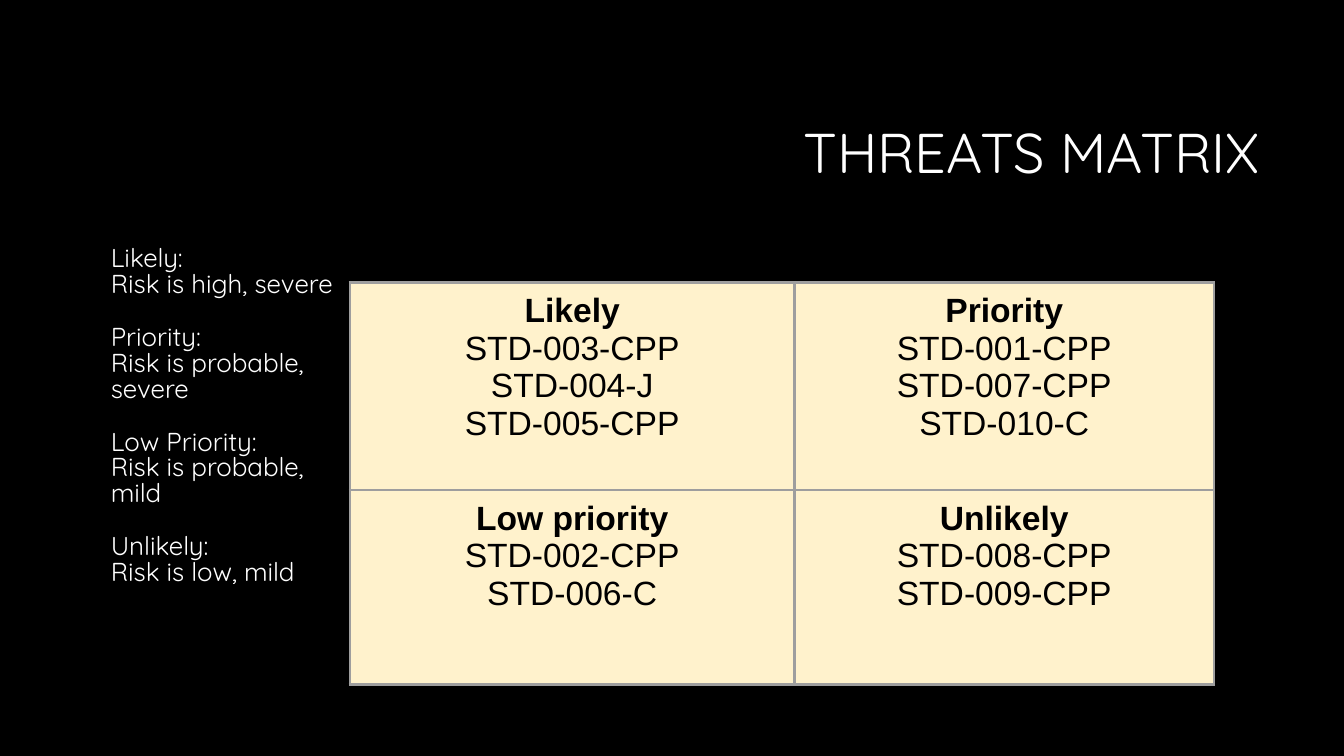
import pptx
import pptx.util
import pptx.dml.color
import pptx.enum.text
import pptx.oxml
import pptx.oxml.ns
from pptx.util import Inches

ALIGN = pptx.enum.text.PP_ALIGN
ANCHOR = pptx.enum.text.MSO_ANCHOR


def color(value):
    return pptx.dml.color.RGBColor.from_string(value)


def add_run(p, text, size, font, hex_color, bold=False):
    r = p.add_run()
    r.text = text
    r.font.size = pptx.util.Pt(size)
    r.font.name = font
    r.font.bold = bold
    r.font.color.rgb = color(hex_color)


prs = pptx.Presentation()
prs.slide_width, prs.slide_height = Inches(13.33), Inches(7.5)
s = prs.slides.add_slide(prs.slide_layouts[6])
s.background.fill.solid()
s.background.fill.fore_color.rgb = color("000000")

# Title
tf = s.shapes.add_textbox(Inches(3.17), Inches(0.84), Inches(9.42), Inches(1.41)).text_frame
tf.word_wrap = True
tf.vertical_anchor = ANCHOR.MIDDLE
p = tf.paragraphs[0]
p.alignment = ALIGN.RIGHT
p.line_spacing = 0.9
add_run(p, "THREATS MATRIX", 40, "Quicksand", "FFFFFF")

# Legend: each term is followed by its meaning
legend = [
    ("Likely:", "Risk is high, severe"),
    ("Priority:", "Risk is probable, severe"),
    ("Low Priority:", "Risk is probable, mild"),
    ("Unlikely:", "Risk is low, mild"),
]
tf = s.shapes.add_textbox(Inches(0.75), Inches(2.4), Inches(2.72), Inches(4.4)).text_frame
tf.word_wrap = True
for i, entry in enumerate(legend):
    for j, text in enumerate(entry):
        p = tf.paragraphs[0] if i == j == 0 else tf.add_paragraph()
        p.line_spacing = 0.83
        if i > 0 and j == 0:
            p.space_before = Inches(0.27)
        p._p.get_or_add_pPr().set("marL", str(Inches(0.25)))
        add_run(p, text, 18.5, "Quicksand", "FFFFFF")

# Matrix: heading first, then the standards in that quadrant
matrix = [
    [("Likely", "STD-003-CPP", "STD-004-J", "STD-005-CPP"),
     ("Priority", "STD-001-CPP", "STD-007-CPP", "STD-010-C")],
    [("Low priority", "STD-002-CPP", "STD-006-C"),
     ("Unlikely", "STD-008-CPP", "STD-009-CPP")],
]
widths, heights = (4.41, 4.16), (2.06, 1.93)
table = s.shapes.add_table(2, 2, Inches(3.47), Inches(2.8),
                           Inches(sum(widths)), Inches(sum(heights))).table
table.first_row = table.horz_banding = False
for column, width in zip(table.columns, widths):
    column.width = Inches(width)
for row, height in zip(table.rows, heights):
    row.height = Inches(height)

for i, quadrants in enumerate(matrix):
    for j, lines in enumerate(quadrants):
        cell = table.cell(i, j)
        cell.margin_left = cell.margin_right = Inches(0.1)
        cell.margin_top = cell.margin_bottom = Inches(0.1)
        # Borders come before the fill in the cell properties
        tcPr = cell._tc.get_or_add_tcPr()
        for side in ("lnL", "lnR", "lnT", "lnB"):
            tcPr.append(pptx.oxml.parse_xml(
                f'<a:{side} {pptx.oxml.ns.nsdecls("a")} w="{pptx.util.Pt(2.25)}">'
                f'<a:solidFill><a:srgbClr val="9E9E9E"/></a:solidFill></a:{side}>'))
        cell.fill.solid()
        cell.fill.fore_color.rgb = color("FFF2CC")
        for k, text in enumerate(lines):
            p = cell.text_frame.paragraphs[0] if k == 0 else cell.text_frame.add_paragraph()
            p.alignment = ALIGN.CENTER
            add_run(p, text, 24, "Arial", "000000", bold=k == 0)

prs.save("out.pptx")
